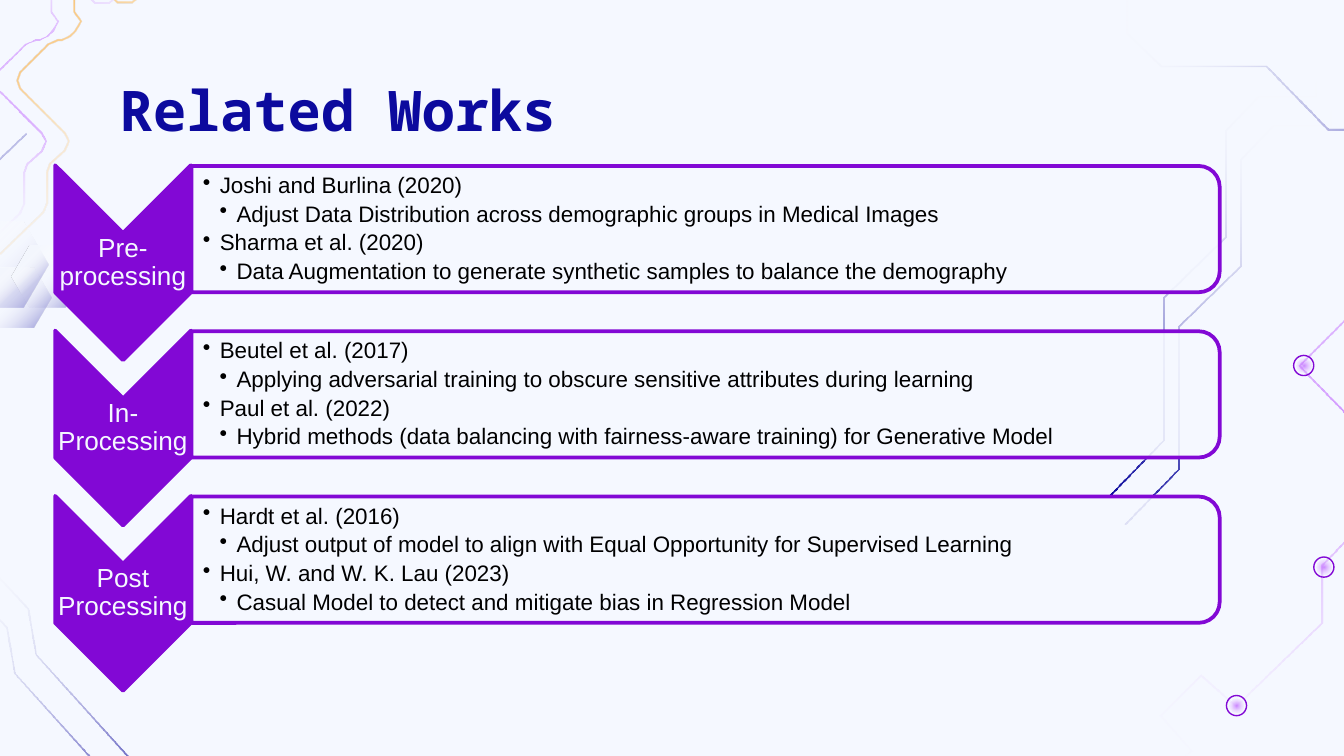
"""Build the Related Works slide: three chevron rows over a circuit-line background."""
from math import hypot
from pptx import Presentation
from pptx.dml.color import RGBColor
from pptx.enum.shapes import MSO_SHAPE as Preset
from pptx.enum.text import MSO_ANCHOR as Anchor, PP_ALIGN as Align
from pptx.oxml import parse_xml
from pptx.oxml.ns import nsdecls
from pptx.util import Inches, Pt

COLORS = {"paper": "F5F8FF", "navy": "0C0A9E", "violet": "8208D5", "glow": "9900FF",
          "amber": "EB9109", "orange": "FF9900", "white": "FFFFFF", "black": "000000"}
RGB = {name: RGBColor.from_string(value) for name, value in COLORS.items()}
COLUMNS = 100

presentation = Presentation()
presentation.slide_width, presentation.slide_height = Inches(10), Inches(5.625)
UNIT = presentation.slide_width / COLUMNS
slide = presentation.slides.add_slide(presentation.slide_layouts[6])
slide.background.fill.solid()
slide.background.fill.fore_color.rgb = RGB["paper"]


def fill_gradient(shape, stops, angle=None):
    """Fill a shape with (percent, colour, opacity) stops, radial when no angle is given."""
    shape.shadow.inherit = False
    shape.line.fill.background()
    shape.fill.background()
    stop_xml = "".join(
        f'<a:gs pos="{position * 1000}"><a:srgbClr val="{COLORS[color]}">'
        f'<a:alpha val="{opacity * 1000}"/></a:srgbClr></a:gs>'
        for position, color, opacity in stops)
    center = '<a:path path="circle"><a:fillToRect l="50000" t="50000" r="50000" b="50000"/></a:path>'
    direction = center if angle is None else f'<a:lin ang="{angle * 60000}" scaled="0"/>'
    properties = shape._element.spPr
    empty_fill = properties.find("{*}noFill")
    properties.replace(empty_fill, parse_xml(
        f'<a:gradFill {nsdecls("a")} rotWithShape="1"><a:gsLst>{stop_xml}</a:gsLst>{direction}</a:gradFill>'))


def add_text(box, lines, format_values, insets, anchor, align=Align.LEFT, spacing=1.0, bullets=False):
    """Add a text box on the grid; bulleted lines alternate between two levels."""
    shape = slide.shapes.add_textbox(*[round(value * UNIT) for value in box])
    frame = shape.text_frame
    frame.word_wrap, frame.vertical_anchor = True, anchor
    for side, inset in zip(("left", "top", "right", "bottom"), insets):
        setattr(frame, f"margin_{side}", round(inset * UNIT))
    for index, line in enumerate(lines):
        paragraph = frame.paragraphs[0] if index == 0 else frame.add_paragraph()
        if bullets:
            level = index % 2
            properties = paragraph._p.get_or_add_pPr()
            properties.set("marL", str(Inches(0.125) * (level + 1)))
            properties.set("indent", str(-Inches(0.125)))
            properties.append(parse_xml(
                f'<a:buClr {nsdecls("a")}><a:srgbClr val="{COLORS["black"]}"/></a:buClr>'))
            properties.append(parse_xml(f'<a:buChar {nsdecls("a")} char="•"/>'))
            paragraph.level = level
            paragraph.space_after = Pt(2.4)
        paragraph.alignment, paragraph.line_spacing = align, spacing
        run = paragraph.add_run()
        run.text = line
        run.font.color.rgb = RGB[format_values["color"]]
        for name in ("name", "size", "bold"):
            setattr(run.font, name, format_values[name])


NAVY_FADE = [(0, "navy", 100), (100, "white", 0)]
PALE_NAVY_FADE = [(0, "navy", 37), (100, "white", 0)]
AMBER_FADE = [(0, "amber", 100), (40, "orange", 41), (100, "white", 0)]
GLOW = [(0, "glow", 47), (100, "white", 0)]
HEXAGON_FADE = [(0, "paper", 100), (22, "paper", 100), (45, "white", 0), (100, "navy", 50)]

right_trace = [(83.7, 39), (87.7, 34.9), (87.7, 24.3), (92.3, 19.8), (92.3, 11.9),
               (94.7, 9.4), (99, 9.4), (99, 8.1)]
top_trace = [(113.4, 13.6), (109.4, 9.6), (98.8, 9.6), (94.2, 4.9), (86.4, 4.9),
             (83.9, 2.5), (83.9, -1.8), (82.5, -1.8)]
node_trace = [(120.7, 3), (114.6, 9.2), (114.6, 9.6), (117.8, 12.8), (107, 23.6), (103.5, 20.4),
              (96.7, 27.2), (104.8, 35.5), (98.4, 42), (98.4, 46.3), (92, 52.5),
              (89.4, 50.2), (86.4, 53.2), (88.7, 55.8), (87, 57.2), (88.7, 58.9)]
corner_trace = [(11.8, 62.5), (10.9, 57.8), (2.7, 48.7), (2.1, 45.3), (-1.6, 41.3)]
wavy_trace = [(5.8, -6.3), (10.5, -1.5), (10.6, -0.5), (9.8, 0.2), (8.7, 0.2), (7.6, -0.9),
              (6.2, -0.9), (5.5, -0.2), (5.5, 0.9), (6, 1.6), (5.6, 2.3), (5.2, 2.7),
              (4.6, 3), (4.3, 3), (3.6, 3.3), (1.5, 5.4), (1.3, 6), (1.5, 6.6), (4.8, 9.9),
              (5.1, 10.5), (4.8, 11.2), (3.7, 12.2), (3.5, 12.8), (3.5, 15.1), (3.2, 15.8), (0, 18.9)]
short_trace = [(1.9, 9.9), (-1, 12.7), (-1, 7.1), (-3.2, 7.1), (-3.2, 1.9)]

traces = [(right_trace, 0, 0, NAVY_FADE, 270), (right_trace, -1.1, -2.2, NAVY_FADE, 270),
          (top_trace, 0, 0, NAVY_FADE, 180), (node_trace, 0, 0, GLOW, None),
          (corner_trace, 0, 0, NAVY_FADE, 228), (corner_trace, -1.6, 1.4, NAVY_FADE, 228),
          (wavy_trace, 0, 0, AMBER_FADE, 45), (wavy_trace, -1.7, 0, GLOW, None),
          (short_trace, 0, 0, PALE_NAVY_FADE, 225)]
HALF_WIDTH = 0.07
for points, shift_x, shift_y, stops, angle in traces:
    normals = []
    for (x1, y1), (x2, y2) in zip(points, points[1:]):
        length = hypot(x2 - x1, y2 - y1)
        normals.append(((y1 - y2) / length, (x2 - x1) / length))
    left_edge, right_edge = [], []
    for (x, y), (ax, ay), (bx, by) in zip(points, normals[:1] + normals, normals + normals[-1:]):
        miter = HALF_WIDTH / (1 + ax * bx + ay * by)
        offset_x, offset_y = (ax + bx) * miter, (ay + by) * miter
        x, y = x + shift_x, y + shift_y
        left_edge.append((round((x + offset_x) * UNIT), round((y + offset_y) * UNIT)))
        right_edge.append((round((x - offset_x) * UNIT), round((y - offset_y) * UNIT)))
    outline = left_edge + right_edge[::-1]
    builder = slide.shapes.build_freeform(*outline[0])
    builder.add_line_segments(outline[1:], close=True)
    fill_gradient(builder.convert_to_shape(), stops, angle)

RING, DOT = 1.5, 1.1
for center_x, center_y in [(92, 52.5), (98.5, 42.2), (97, 27.2)]:
    ring, dot = [slide.shapes.add_shape(Preset.OVAL, *[round(value * UNIT) for value in (
        center_x - size / 2, center_y - size / 2, size, size)]) for size in (RING, DOT)]
    ring.shadow.inherit = False
    ring.fill.background()
    ring.line.color.rgb, ring.line.width = RGB["violet"], Pt(0.75)
    fill_gradient(dot, GLOW)

for box in [(-3.8, 16.5, 7.4, 6.4), (-1.5, 19.9, 5.3, 4.5), (0.9, 18.3, 5.3, 4.6)]:
    hexagon = slide.shapes.add_shape(Preset.HEXAGON, *[round(value * UNIT) for value in box])
    hexagon.adjustments[0] = 0.29
    fill_gradient(hexagon, HEXAGON_FADE, 45)

TITLE = {"name": "Noto Sans Mono", "size": Pt(30), "bold": True, "color": "navy"}
LABEL = {"name": "Arial", "size": Pt(14), "bold": False, "color": "paper"}
BODY = {"name": "Arial", "size": Pt(12), "bold": False, "color": "black"}
add_text((7.9, 4.9, 84.3, 6.3), ["Related Works"], TITLE, (1, 0.7, 1, 1), Anchor.TOP)

rows = [
    ("Pre-processing", [
        "Joshi and Burlina (2020)",
        "Adjust Data Distribution across demographic groups in Medical Images",
        "Sharma et al. (2020)",
        "Data Augmentation to generate synthetic samples to balance the demography"]),
    ("In-Processing", [
        "Beutel et al. (2017)",
        "Applying adversarial training to obscure sensitive attributes during learning",
        "Paul et al. (2022)",
        "Hybrid methods (data balancing with fairness-aware training) for Generative Model"]),
    ("Post Processing", [
        "Hardt et al. (2016)",
        "Adjust output of model to align with Equal Opportunity for Supervised Learning",
        "Hui, W. and W. K. Lau (2023)",
        "Casual Model to detect and mitigate bias in Regression Model"]),
]
ROW_PITCH = 12.3
for index, (label, works) in enumerate(rows):
    drop = index * ROW_PITCH
    for preset, box, color in [(Preset.CHEVRON, (1.9, 14.5 + drop, 14.5, 10.1), "violet"),
                               (Preset.ROUND_2_SAME_RECTANGLE, (47.8, -21.2 + drop, 9.4, 76.5), "paper")]:
        shape = slide.shapes.add_shape(preset, *[round(value * UNIT) for value in box])
        shape.rotation = 90
        shape.shadow.inherit = False
        shape.fill.solid()
        shape.fill.fore_color.rgb = RGB[color]
        shape.line.color.rgb, shape.line.width = RGB["violet"], Pt(2)
    solid_color = shape._element.spPr.find("{*}solidFill")[0]
    solid_color.append(parse_xml(f'<a:alpha {nsdecls("a")} val="90000"/>'))
    add_text((4.1, 17.4 + drop, 10.1, 4.3), [label], LABEL, (0.1,) * 4, Anchor.MIDDLE, Align.CENTER, 0.9)
    add_text((14.2, 12.8 + drop, 76.1, 8.5), works, BODY, (0.9, 0.1, 0.1, 0.1), Anchor.MIDDLE,
             spacing=0.9, bullets=True)

presentation.save("out.pptx")
